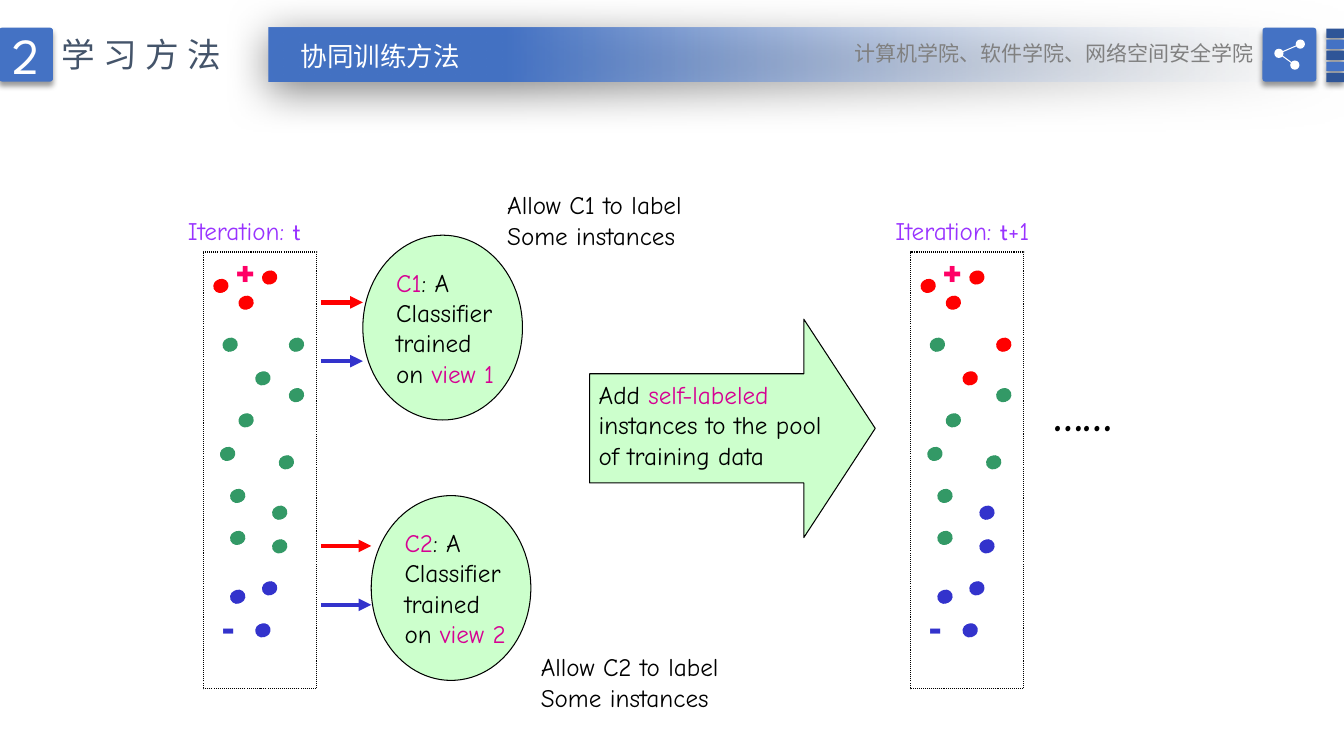
from dataclasses import dataclass, field

from lxml import etree
from pptx import Presentation
from pptx.dml.color import RGBColor
from pptx.enum.dml import MSO_LINE
from pptx.enum.shapes import MSO_CONNECTOR, MSO_SHAPE
from pptx.enum.text import MSO_ANCHOR, MSO_AUTO_SIZE, PP_ALIGN
from pptx.oxml.ns import qn
from pptx.util import Inches, Pt

STRAIGHT = MSO_CONNECTOR.STRAIGHT
DOTTED = MSO_LINE.ROUND_DOT
RECTANGLE, ROUNDED = MSO_SHAPE.RECTANGLE, MSO_SHAPE.ROUNDED_RECTANGLE
OVAL, RIGHT_ARROW = MSO_SHAPE.OVAL, MSO_SHAPE.RIGHT_ARROW
TOP, MIDDLE = MSO_ANCHOR.TOP, MSO_ANCHOR.MIDDLE
LEFT, CENTER, RIGHT = PP_ALIGN.LEFT, PP_ALIGN.CENTER, PP_ALIGN.RIGHT
NO_RESIZE = MSO_AUTO_SIZE.NONE
TITLE_ONLY = 5
COLUMNS, ROWS = 160, 90
WIDTH, HEIGHT = Inches(13.333), Inches(7.5)
HAN, HAND, SPARTAN = "Noto Sans CJK SC", "Comic Neue", "League Spartan"


def type_style(name, size, bold=False):
    return {"name": name, "size": Pt(size), "bold": bold}


@dataclass
class Theme:
    colours: dict = field(default_factory=lambda: {
        "blue": "4472C4", "navy": "2F5597", "mist": "F7FAFD", "slate": "44546A",
        "grey": "808080", "white": "FFFFFF", "black": "000000", "mint": "CCFFCC",
        "positive": "FF0000", "negative": "3333CC", "unlabelled": "339966",
        "plus": "FF0066", "violet": "9933FF", "magenta": "D60093"})
    types: dict = field(default_factory=lambda: {
        "badge": type_style(SPARTAN, 36), "section": type_style(HAN, 24),
        "title": type_style(HAN, 19), "school": type_style(HAN, 15),
        "note": type_style(HAND, 18), "symbol": type_style(SPARTAN, 18),
        "sign": type_style(SPARTAN, 28, True), "dots": type_style(HAND, 32, True)})
    soft_shadow: tuple = (40, 4, 3, 90)
    wide_shadow: tuple = (50, 31, 6, 97)

    def rgb(self, name):
        return RGBColor.from_string(self.colours[name])


THEME = Theme()

POOL = [
    (26.4, 34, "positive", "positive"), (29.4, 36, "positive", "positive"),
    (32.2, 33, "positive", "positive"), (32.2, 70, "negative", "negative"),
    (31.4, 75, "negative", "negative"), (28.4, 71, "negative", "negative"),
    (29.4, 50, "unlabelled", "unlabelled"), (34.2, 55, "unlabelled", "unlabelled"),
    (27.2, 54, "unlabelled", "unlabelled"), (27.5, 41, "unlabelled", "unlabelled"),
    (35.4, 47, "unlabelled", "unlabelled"), (31.4, 45, "unlabelled", "positive"),
    (35.4, 41, "unlabelled", "positive"), (28.4, 59, "unlabelled", "unlabelled"),
    (33.4, 65, "unlabelled", "negative"), (33.4, 61, "unlabelled", "negative"),
    (28.4, 64, "unlabelled", "unlabelled")]


def column(count):
    return round(WIDTH * count / COLUMNS)


def row(count):
    return round(HEIGHT * count / ROWS)


def place(left, top, width, height):
    return column(left), row(top), column(width), row(height)


def apply_format(target, values):
    for name, value in values.items():
        setattr(target, name, value)


def add_shadow(shape, opacity, blur, distance, angle):
    effects = shape._element.spPr.find(qn("a:effectLst"))
    shadow = etree.SubElement(effects, qn("a:outerShdw"), {
        "blurRad": str(Pt(blur)), "dist": str(Pt(distance)),
        "dir": str(angle * 60000), "algn": "t", "rotWithShape": "0"})
    colour = etree.SubElement(shadow, qn("a:srgbClr"), val=THEME.colours["black"])
    etree.SubElement(colour, qn("a:alpha"), val=str(opacity * 1000))


def add_block(slide, kind, box, fill=None, line=None, shadow=None, adjustments=()):
    shape = slide.shapes.add_shape(kind, *place(*box))
    shape.shadow.inherit = False
    for index, value in enumerate(adjustments):
        shape.adjustments[index] = value
    if fill:
        shape.fill.solid()
        shape.fill.fore_color.rgb = THEME.rgb(fill)
    else:
        shape.fill.background()
    if line:
        shape.line.color.rgb = THEME.rgb(line)
        shape.line.width = Pt(0.75)
    else:
        shape.line.fill.background()
    if shadow:
        add_shadow(shape, *shadow)
    return shape


def write(shape, paragraphs, align=LEFT, anchor=TOP, wrap=True, spacing=0):
    frame = shape.text_frame
    apply_format(frame, {
        "auto_size": NO_RESIZE, "word_wrap": wrap, "vertical_anchor": anchor,
        "margin_left": Inches(0.1), "margin_right": Inches(0.1),
        "margin_top": Inches(0.05), "margin_bottom": Inches(0.05)})
    for index, runs in enumerate(paragraphs):
        paragraph = frame.add_paragraph() if index else frame.paragraphs[0]
        paragraph.alignment = align
        for text, style, colour in runs:
            run = paragraph.add_run()
            run.text = text
            apply_format(run.font, THEME.types[style])
            run.font.color.rgb = THEME.rgb(colour)
            properties = run._r.get_or_add_rPr()
            etree.SubElement(properties, qn("a:ea"), typeface=THEME.types[style]["name"])
            if spacing:
                properties.set("spc", str(spacing * 100))


def add_text(slide, box, paragraphs, **layout):
    write(slide.shapes.add_textbox(*place(*box)), paragraphs, **layout)


def add_line(slide, start, end, colour, width, **ends):
    line = slide.shapes.add_connector(
        STRAIGHT, column(start[0]), row(start[1]), column(end[0]), row(end[1]))
    line.line.color.rgb = THEME.rgb(colour)
    line.line.width = Pt(width)
    for name, kind in ends.items():
        etree.SubElement(line.line._ln, qn(f"a:{name}"), type=kind)
    etree.SubElement(line._element.spPr, qn("a:effectLst"))


def add_header(slide):
    bar = add_block(slide, RECTANGLE, (32, 3.3, 128, 6.4), "blue", shadow=THEME.wide_shadow)
    bar.fill.gradient()
    bar.fill.gradient_angle = 180
    for stop, position, colour in zip(bar.fill.gradient_stops, (0, 0.78), ("mist", "blue")):
        stop.position = position
        stop.color.rgb = THEME.rgb(colour)
    clear = next(bar._element.spPr.iter(qn("a:srgbClr")))
    etree.SubElement(clear, qn("a:alpha"), val="0")

    title = slide.shapes.title
    slide.shapes._spTree.append(title._element)
    box = place(34.6, 4.1, 53.4, 5)
    apply_format(title, dict(zip(("left", "top", "width", "height"), box)))
    write(title, [[("协同训练方法", "title", "white")]])

    tile = {"shadow": THEME.soft_shadow, "adjustments": (0.05,)}
    badge = add_block(slide, ROUNDED, (-0.1, 3.3, 6.4, 6.4), "blue", **tile)
    write(badge, [[("2", "badge", "white")]], CENTER, MIDDLE)
    add_text(slide, (6.1, 3.5, 22.6, 6), [[("学习方法", "section", "slate")]],
             wrap=False, spacing=6)
    for index in range(5):
        add_block(slide, ROUNDED, (157.9, 3.4 + 1.32 * index, 2.1, 1.1),
                  "blue" if index % 2 else "navy", **tile)
    add_block(slide, ROUNDED, (150.3, 3.3, 6.4, 6.4), "blue", **tile)
    add_share_icon(slide)
    add_text(slide, (99.5, 4.2, 50.9, 4.2),
             [[("计算机学院、软件学院、网络空间安全学院", "school", "grey")]], align=RIGHT)


def add_share_icon(slide):
    nodes = [(154.8, 5.25), (152.25, 6.35), (154.15, 7.75)]
    for node in nodes:
        add_block(slide, OVAL, (node[0] - 0.55, node[1] - 0.55, 1.1, 1.1), "white")
    for end in (nodes[0], nodes[2]):
        add_line(slide, nodes[1], end, "white", 0.75)


def add_pool(slide, offset, suffix, labelled):
    frame = add_block(slide, RECTANGLE, (24.2 + offset, 30, 13.5, 52), line="black")
    frame.line.dash_style = DOTTED
    for left, top, before, after in POOL:
        add_line(slide, (left + offset, top), (left + offset - 0.2, top + 0.08),
                 after if labelled else before, 3.25, headEnd="oval", tailEnd="oval")
    caption = [("Iteration: ", "note", "violet"), ("t", "symbol", "violet")]
    if suffix:
        caption.append((suffix, "note", "violet"))
    add_text(slide, (21.2 + offset, 25, 25.3, 4.8), [caption])
    for left, top, sign, colour in ((26.8, 29, "+", "plus"), (25.2, 71, "-", "negative")):
        add_text(slide, (left + offset, top, 6.5, 6.8), [[(sign, "sign", colour)]])


def add_classifier(slide, number, left, top, note_left, note_top):
    circle = add_block(slide, OVAL, (left, top, 19, 22), "mint", "black")
    write(circle, [
        [(f"C{number}", "note", "magenta"), (": A", "note", "black")],
        [("Classifier", "note", "black")],
        [("trained", "note", "black")],
        [("on ", "note", "black"), (f"view {number}", "note", "magenta")]],
        anchor=MIDDLE, wrap=False)
    for drop, colour in ((15, "negative"), (8, "positive")):
        height = top + drop - (2 if number == 2 else 0)
        add_line(slide, (38.2, height), (left, height), colour, 3, tailEnd="triangle")
    add_text(slide, (note_left, note_top, 26.4, 8.4), [
        [(f"Allow C{number} to label", "note", "black")],
        [("Some instances", "note", "black")]], wrap=False)


def add_growth_arrow(slide):
    add_block(slide, RIGHT_ARROW, (70.2, 38, 34, 26), "mint", "black",
              adjustments=(0.5, 0.327))
    add_text(slide, (70.1, 44.6, 32.4, 12), [
        [("Add ", "note", "black"), ("self-labeled", "note", "magenta")],
        [("instances to the pool", "note", "black")],
        [("of training data", "note", "black")]], wrap=False)


def main():
    presentation = Presentation()
    apply_format(presentation, {"slide_width": WIDTH, "slide_height": HEIGHT})
    slide = presentation.slides.add_slide(presentation.slide_layouts[TITLE_ONLY])
    add_header(slide)
    add_pool(slide, 0, "", False)
    add_pool(slide, 84.2, "+1", True)
    add_text(slide, (124.2, 45.4, 9.6, 7.6), [[("……", "dots", "black")]], wrap=False)
    add_classifier(slide, 1, 43.2, 28, 59.2, 22)
    add_classifier(slide, 2, 44.2, 59, 63.2, 77)
    add_growth_arrow(slide)
    presentation.save("out.pptx")


if __name__ == "__main__":
    main()
